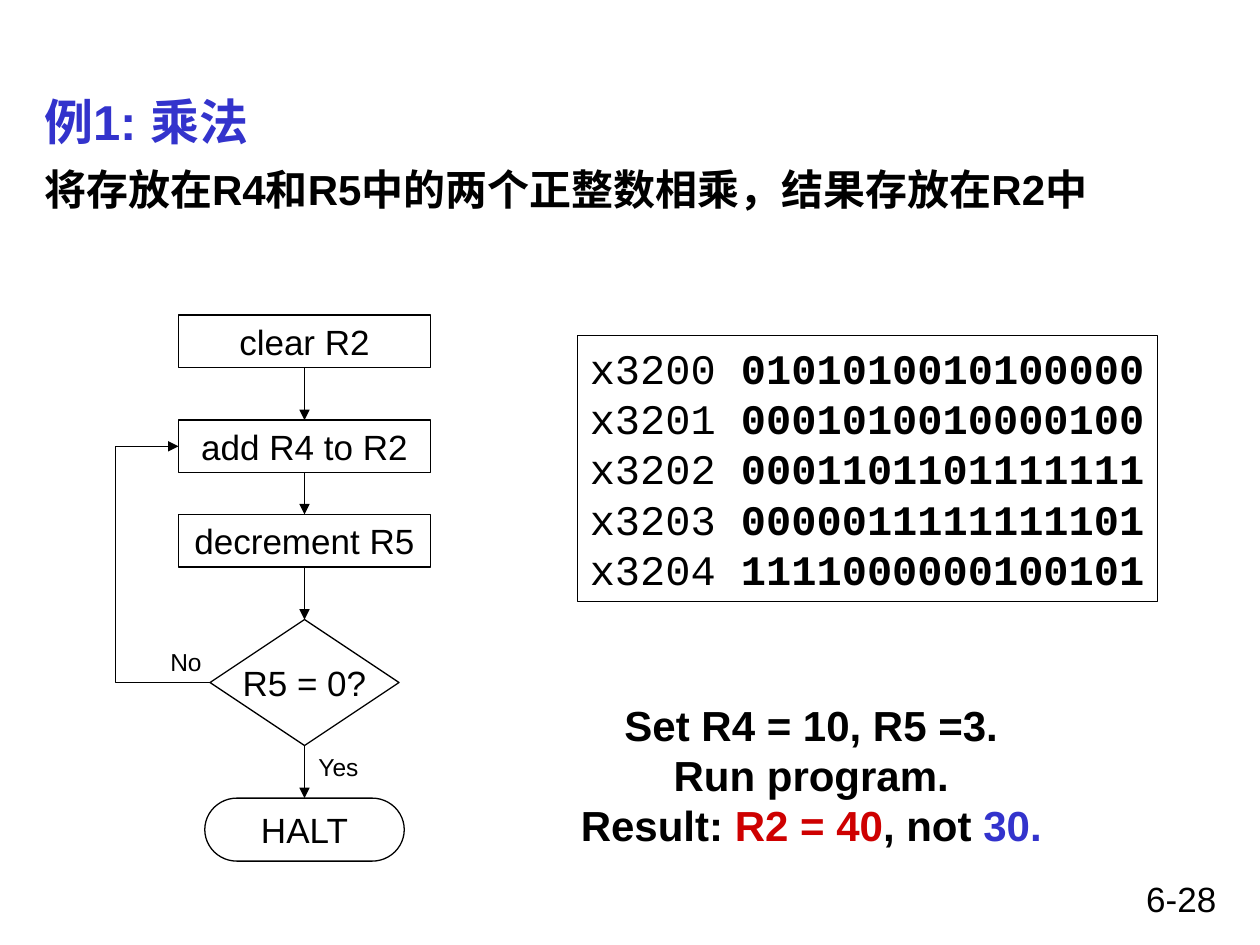
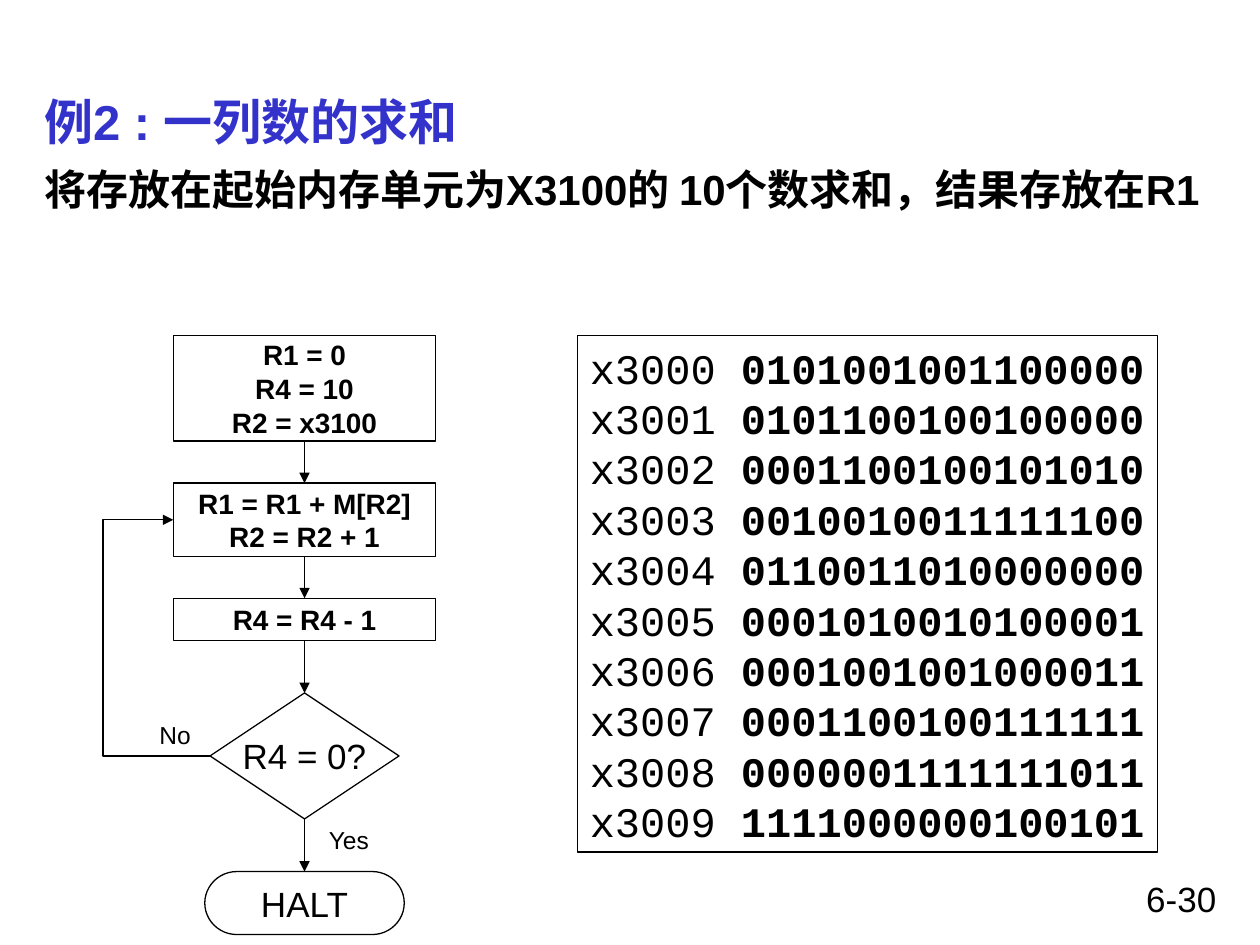
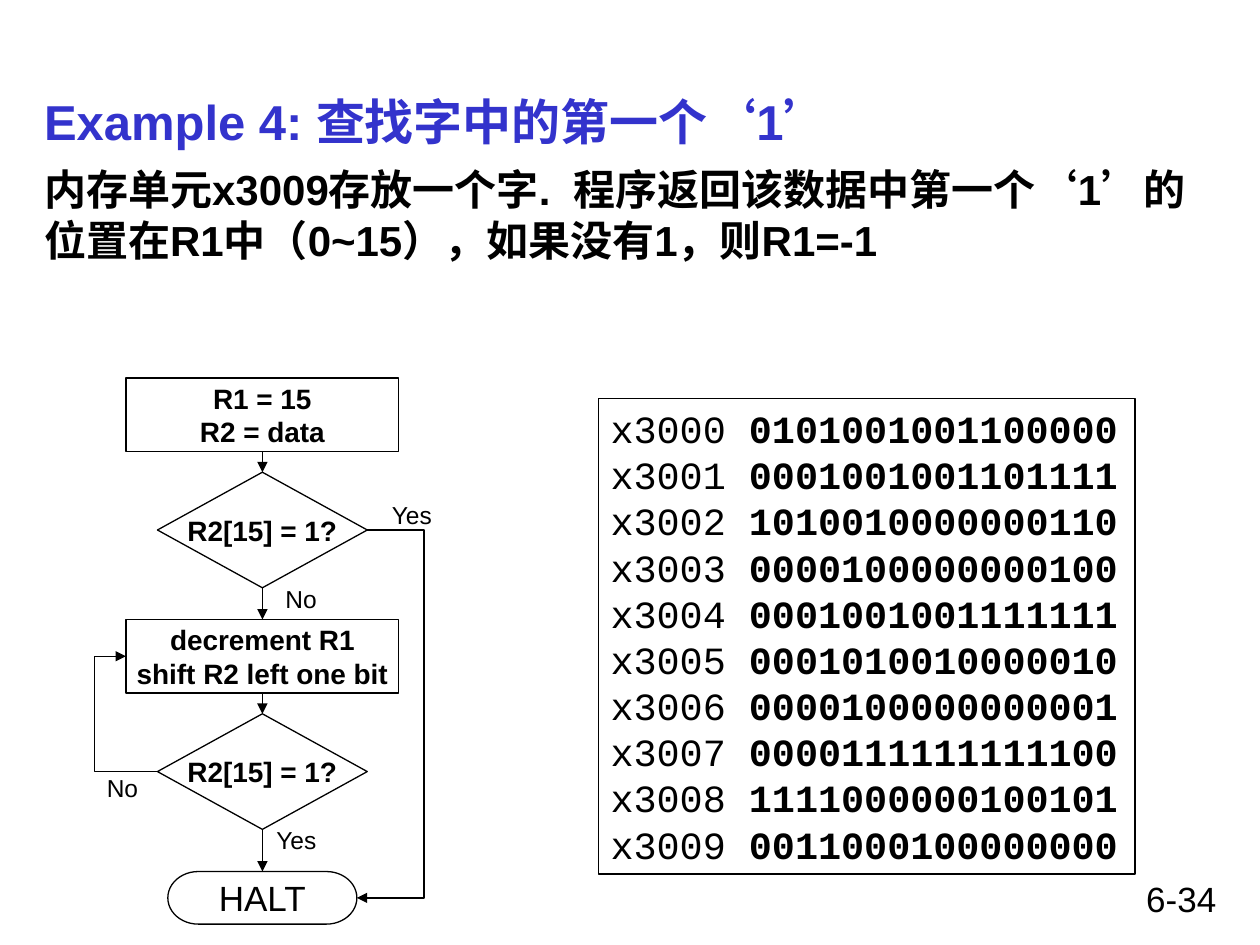
from dataclasses import dataclass

from lxml import etree
from pptx import Presentation
from pptx import util as u
from pptx.dml.color import RGBColor
from pptx.enum import shapes, text
from pptx.oxml import ns

Cm, Pt = u.Cm, u.Pt
KIND = shapes.MSO_SHAPE
PROCESS, DECISION, HALT = (KIND.FLOWCHART_PROCESS, KIND.FLOWCHART_DECISION,
                           KIND.FLOWCHART_TERMINATOR)
ALIGN, ANCHOR = text.PP_ALIGN, text.MSO_ANCHOR
TOP, LEFT, BOTTOM, RIGHT = range(4)


@dataclass(frozen=True)
class Theme:
    ink: str = "000000"
    accent: str = "3333CC"
    alert: str = "CE0000"
    font: str = "Arial"
    code_font: str = "Courier New"
    title: float = 28
    body: float = 24
    code: float = 24
    code_small: float = 22
    step: float = 20
    step_small: float = 16
    label: float = 14
    line: float = 0.75


THEME = Theme()


class Deck:
    """Holds the theme and the current slide, and draws each kind of element."""

    def __init__(self, theme):
        self.theme = theme
        self.show = Presentation()
        self.show.slide_width, self.show.slide_height = Cm(25.4), Cm(19.05)
        self.slide = None

    # Text
    def set_lines(self, frame, lines, size, bold=False, color=None, font=None,
                  align=ALIGN.LEFT):
        """Each line is a string or a list of (text, bold, color) parts."""
        frame.text = "\n".join("" if isinstance(line, list) else line for line in lines)
        for paragraph, line in zip(frame.paragraphs, lines):
            paragraph.alignment = align
            parts = [(line, bold, color)]
            if isinstance(line, list):
                parts = line
                for part in parts:
                    paragraph.add_run().text = part[0]
            for run, (_, heavy, tint) in zip(paragraph.runs, parts):
                run.font.name = font or self.theme.font
                run.font.size = Pt(size)
                run.font.bold = heavy
                run.font.color.rgb = RGBColor.from_string(tint or self.theme.ink)

    def text_box(self, left, top, width, height, lines, size, wrap=True,
                 anchor=ANCHOR.TOP, **style):
        box = self.slide.shapes.add_textbox(Cm(left), Cm(top), Cm(width), Cm(height))
        frame = box.text_frame
        frame.word_wrap, frame.vertical_anchor = wrap, anchor
        if not wrap:
            frame.auto_size = text.MSO_AUTO_SIZE.SHAPE_TO_FIT_TEXT
        self.set_lines(frame, lines, size, **style)

    def page(self, title, task, number):
        self.slide = self.show.slides.add_slide(self.show.slide_layouts[6])
        self.text_box(18.21, 17.57, 6.56, 1.06, [number], self.theme.step,
                      align=ALIGN.RIGHT)
        self.text_box(0.64, 1.69, 24.13, 1.48, [title], self.theme.title, bold=True,
                      color=self.theme.accent, anchor=ANCHOR.MIDDLE)
        self.text_box(0.64, 3.18, 24.13, 2.75, [task], self.theme.body, bold=True)

    def label(self, answer, left, top):
        width = 1.37 if answer == "Yes" else 1.14
        self.text_box(left, top, width, 0.85, [answer], self.theme.label, wrap=False,
                      align=ALIGN.CENTER)

    # Outlined shapes
    def outline(self, kind, left, top, width, height):
        shape = self.slide.shapes.add_shape(kind, Cm(left), Cm(top), Cm(width), Cm(height))
        shape.shadow.inherit = False
        shape.fill.background()
        shape.line.color.rgb = RGBColor.from_string(self.theme.ink)
        shape.line.width = Pt(self.theme.line)
        shape.text_frame.word_wrap = False
        return shape

    def step(self, kind, axis, top, width, height, lines, size, bold):
        shape = self.outline(kind, axis - width / 2, top, width, height)
        shape.text_frame.vertical_anchor = ANCHOR.MIDDLE
        self.set_lines(shape.text_frame, lines, size, bold, align=ALIGN.CENTER)
        return shape

    def program(self, left, top, width, height, start, words, size):
        listing = self.outline(KIND.RECTANGLE, left, top, width, height)
        listing.text_frame.vertical_anchor = ANCHOR.TOP
        listing.text_frame.auto_size = text.MSO_AUTO_SIZE.SHAPE_TO_FIT_TEXT
        lines = [[(f"x{start + i:04x}", False, None), (f" {word}", True, None)]
                 for i, word in enumerate(words.split())]
        self.set_lines(listing.text_frame, lines, size, font=self.theme.code_font)

    # Arrows
    def arrow(self, source, target, exit_side=BOTTOM, entry_side=TOP, rail=None):
        """Straight arrow, or one that runs along a vertical rail."""
        kind = shapes.MSO_CONNECTOR.STRAIGHT if rail is None else shapes.MSO_CONNECTOR.ELBOW
        arrow = self.slide.shapes.add_connector(kind, 0, 0, 0, 0)
        arrow.begin_connect(source, exit_side)
        arrow.end_connect(target, entry_side)
        arrow.line.color.rgb = RGBColor.from_string(self.theme.ink)
        arrow.line.width = Pt(self.theme.line)
        properties = arrow._element.spPr
        etree.SubElement(properties.find(ns.qn("a:ln")), ns.qn("a:tailEnd"), type="triangle")
        etree.SubElement(properties, ns.qn("a:effectLst"))
        if rail is not None:
            bend = (Cm(rail) - arrow.begin_x) / (arrow.end_x - arrow.begin_x)
            guides = properties.find(ns.qn("a:prstGeom")).find(ns.qn("a:avLst"))
            etree.SubElement(guides, ns.qn("a:gd"), name="adj1",
                             fmla=f"val {round(bend * 100000)}")

    def flow(self, axis, steps):
        """Draws the steps down one axis and joins each to the next."""
        drawn = [self.step(kind, axis, *rest) for kind, *rest in steps]
        for upper, lower in zip(drawn, drawn[1:]):
            self.arrow(upper, lower)
        return drawn


def multiplication(deck):
    t = deck.theme
    deck.page("例1: 乘法", "将存放在R4和R5中的两个正整数相乘，结果存放在R2中", "6-28")
    deck.program(11.64, 6.77, 11.69, 5.36, 0x3200, """
        0101010010100000 0001010010000100 0001101101111111
        0000011111111101 1111000000100101""", t.code)
    actions = [(6.35, "clear R2"), (8.47, "add R4 to R2"), (10.37, "decrement R5")]
    _, add, _, test, _ = deck.flow(6.14, [
        *((PROCESS, top, 5.08, 1.06, [action], t.step, False) for top, action in actions),
        (DECISION, 12.49, 3.81, 2.54, ["R5 = 0?"], t.step, False),
        (HALT, 16.09, 4.02, 1.27, ["HALT"], t.step, False)])
    deck.arrow(test, add, LEFT, LEFT, rail=2.33)
    deck.label("No", 3.18, 12.91)
    deck.label("Yes", 6.14, 15.03)
    result = [("Result: ", True, None), ("R2 = 40", True, t.alert),
              (", not", True, None), (" 30.", True, t.accent)]
    deck.text_box(11.45, 13.97, 9.81, 3.3, ["Set R4 = 10, R5 =3.", "Run program.", result],
                  t.body, wrap=False, bold=True, align=ALIGN.CENTER)


def summation(deck):
    t = deck.theme
    deck.page("例2 : 一列数的求和",
              "将存放在起始内存单元为X3100的 10个数求和，结果存放在R1", "6-30")
    _, add, _, test, _ = deck.flow(6.14, [
        (KIND.RECTANGLE, 6.77, 5.29, 2.12, ["R1 = 0", "R4 = 10", "R2 = x3100"],
         t.step_small, True),
        (KIND.RECTANGLE, 9.74, 5.29, 1.48, ["R1 = R1 + M[R2]", "R2 = R2 + 1"],
         t.step_small, True),
        (KIND.RECTANGLE, 12.06, 5.29, 0.85, ["R4 = R4 - 1"], t.step_small, True),
        (DECISION, 13.97, 3.81, 2.54, ["R4 = 0?"], t.step, False),
        (HALT, 17.57, 4.02, 1.27, ["HALT"], t.step, False)])
    deck.arrow(test, add, LEFT, LEFT, rail=2.08)
    deck.label("No", 2.96, 14.39)
    deck.label("Yes", 6.35, 16.51)
    deck.program(11.64, 6.77, 11.69, 10.41, 0x3000, """
        0101001001100000 0101100100100000 0001100100101010 0010010011111100
        0110011010000000 0001010010100001 0001001001000011 0001100100111111
        0000001111111011 1111000000100101""", t.code)


def first_one(deck):
    t = deck.theme
    deck.page("Example 4: 查找字中的第一个‘1’",
              "内存单元x3009存放一个字.  程序返回该数据中第一个‘1’的位置在R1中"
              "（0~15），如果没有1，则R1=-1", "6-34")
    test = (4.23, 2.33, ["R2[15] = 1?"], t.step_small, True)
    _, first_test, shift, next_test, halt = deck.flow(5.29, [
        (PROCESS, 7.62, 5.5, 1.48, ["R1 = 15", "R2 = data"], t.step_small, True),
        (DECISION, 9.52, *test),
        (PROCESS, 12.49, 5.5, 1.48, ["decrement R1", "shift R2 left one bit"],
         t.step_small, True),
        (DECISION, 14.39, *test),
        (HALT, 17.57, 3.81, 1.06, ["HALT"], t.step, False)])
    deck.arrow(first_test, halt, RIGHT, RIGHT, rail=8.55)
    deck.arrow(next_test, shift, LEFT, LEFT, rail=1.9)
    for answer, left, top in [("Yes", 7.62, 9.95), ("Yes", 5.29, 16.51),
                              ("No", 5.5, 11.64), ("No", 1.9, 15.45)]:
        deck.label(answer, left, top)
    deck.program(12.06, 8.04, 10.82, 9.58, 0x3000, """
        0101001001100000 0001001001101111 1010010000000110 0000100000000100
        0001001001111111 0001010010000010 0000100000000001 0000111111111100
        1111000000100101 0011000100000000""", t.code_small)


def main():
    deck = Deck(THEME)
    for build in (multiplication, summation, first_one):
        build(deck)
    deck.show.save("out.pptx")


if __name__ == "__main__":
    main()
